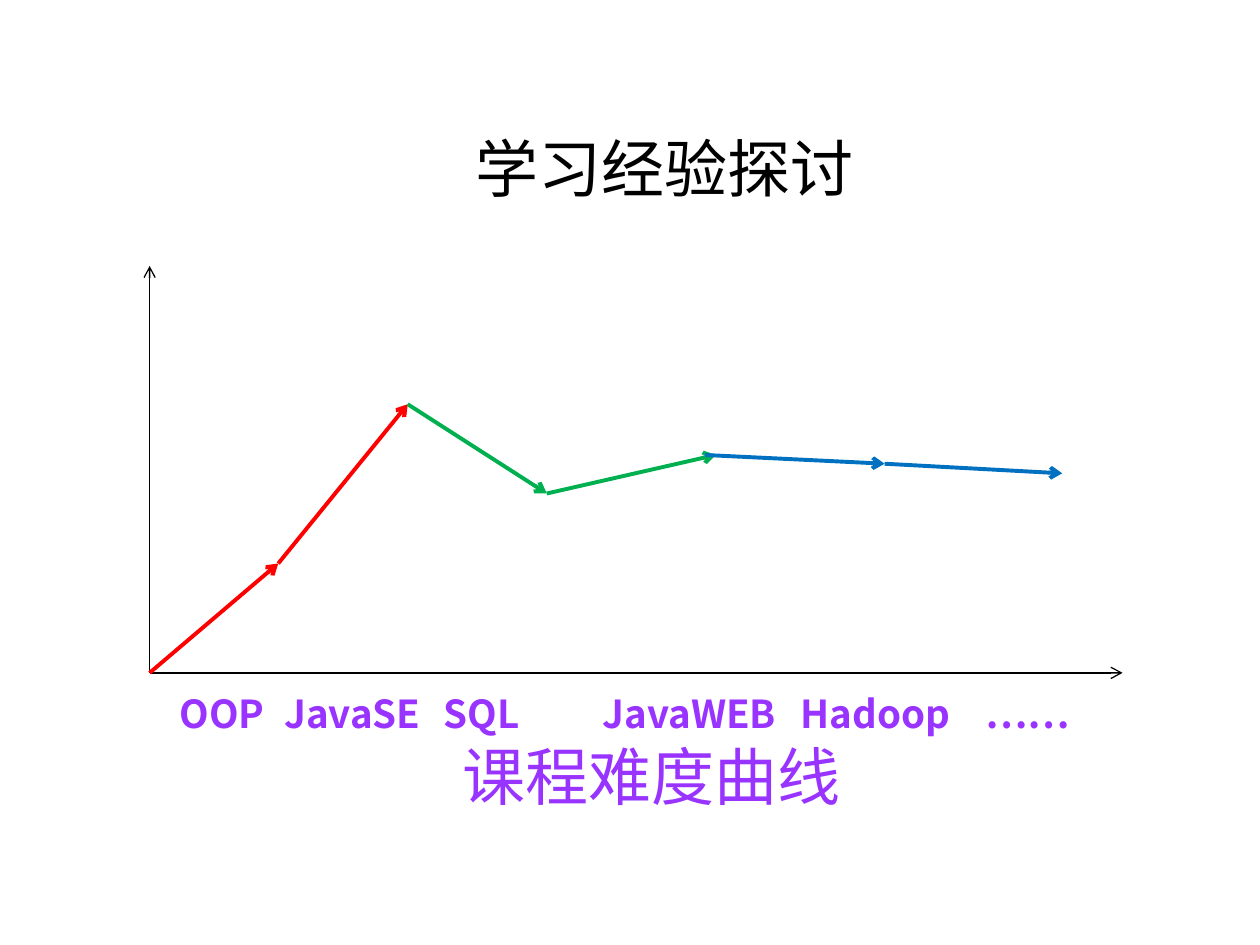
from itertools import pairwise

from lxml.etree import SubElement
from pptx import Presentation
from pptx.dml.color import RGBColor
from pptx.enum.shapes import MSO_CONNECTOR as Connector
from pptx.enum.text import MSO_ANCHOR as Anchor, PP_ALIGN as Align
from pptx.oxml.ns import qn
from pptx.util import Pt

BLACK = RGBColor(0x00, 0x00, 0x00)
RED = RGBColor(0xFF, 0x00, 0x00)
GREEN = RGBColor(0x00, 0xB0, 0x50)
BLUE = RGBColor(0x00, 0x70, 0xC0)
PURPLE = RGBColor(0x99, 0x33, 0xFF)
LATIN, CJK = "Calibri", "Noto Sans CJK SC"


class CurveSlide:
    """Holds the style and the current slide; all lengths are in points."""

    heading = {"size": Pt(36), "bold": False}
    label = {"size": Pt(22), "bold": True}

    def __init__(self, slide):
        self.slide = slide

    def arrow(self, start, end, color, width):
        line = self.slide.shapes.add_connector(
            Connector.STRAIGHT, *(Pt(v) for v in (*start, *end)))
        line.line.color.rgb = color
        line.line.width = Pt(width)
        properties = line._element.spPr
        SubElement(properties.find(qn("a:ln")), qn("a:tailEnd"), type="arrow")
        SubElement(properties, qn("a:effectLst"))

    def text_box(self, left, top, width, height, anchor):
        box = self.slide.shapes.add_textbox(*(Pt(v) for v in (left, top, width, height)))
        frame = box.text_frame
        frame.word_wrap = True
        frame.vertical_anchor = anchor
        return frame

    def add_text(self, paragraph, text, style, color, **paragraph_format):
        for name, value in paragraph_format.items():
            setattr(paragraph, name, value)
        run = paragraph.add_run()
        run.text = text
        run.font.color.rgb = color
        for name, value in style.items():
            setattr(run.font, name, value)
        SubElement(run._r.get_or_add_rPr(), qn("a:ea"), typeface=CJK)

    def tab_stops(self, paragraph, stops):
        tabs = SubElement(paragraph._p.get_or_add_pPr(), qn("a:tabLst"))
        for stop in stops:
            SubElement(tabs, qn("a:tab"), pos=str(Pt(stop)), algn="l")


def main():
    deck = Presentation()
    deck.slide_width, deck.slide_height = Pt(720), Pt(540)
    page = CurveSlide(deck.slides.add_slide(deck.slide_layouts[6]))

    # Title
    title = page.text_box(56, 62, 648, 67.5, Anchor.MIDDLE)
    page.add_text(title.paragraphs[0], "学习经验探讨", page.heading | {"name": LATIN},
                  BLACK, alignment=Align.CENTER)

    # Axes
    origin = (85.5, 384.5)
    for axis_end in ((641.5, 384.5), (85.5, 152)):
        page.arrow(origin, axis_end, BLACK, 0.75)

    # Difficulty curve: two steps in each colour
    rise = [origin, (159, 322), (233, 231)]
    settle = [rise[-1], (312.5, 282), (409, 260)]
    plateau = [(403, 260), (505.5, 265), (607, 270.5)]
    for stage, color in ((rise, RED), (settle, GREEN), (plateau, BLUE)):
        for start, end in pairwise(stage):
            page.arrow(start, end, color, 2.25)

    # Course names along the axis, and the caption
    courses = {"OOP": 33.5, "JavaSE": 93.5, "SQL": 184.5,
               "JavaWEB": 275.5, "Hadoop": 388.5, "……": 494}
    captions = page.text_box(62, 394, 621, 79, Anchor.TOP)
    names = captions.paragraphs[0]
    page.add_text(names, "".join("\t" + course for course in courses),
                  page.label | {"name": CJK}, PURPLE, line_spacing=0.9)
    page.tab_stops(names, courses.values())
    page.add_text(captions.add_paragraph(), "课程难度曲线", page.heading | {"name": CJK},
                  PURPLE, alignment=Align.CENTER, line_spacing=0.9, space_before=Pt(5))

    deck.save("out.pptx")


if __name__ == "__main__":
    main()
